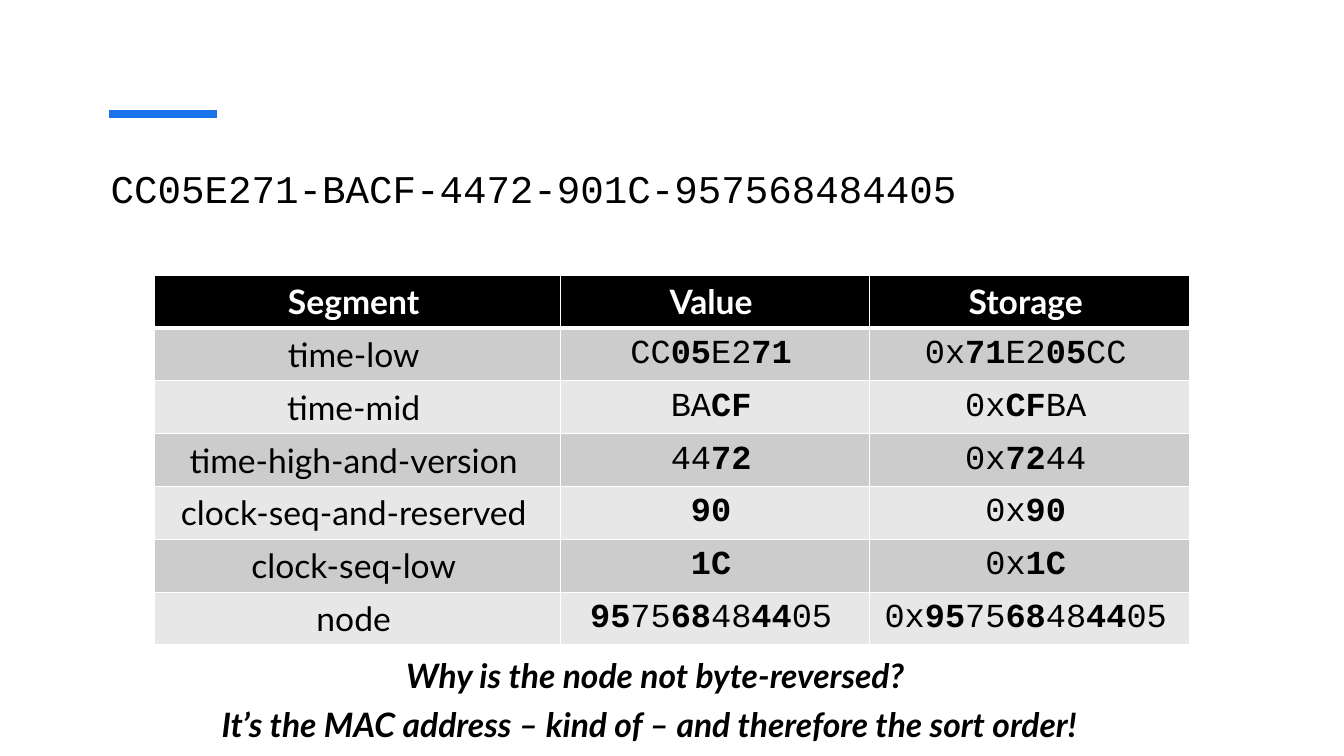
from dataclasses import dataclass

from lxml.etree import SubElement
from pptx import Presentation
from pptx.dml.color import RGBColor
from pptx.enum.shapes import MSO_CONNECTOR as Connector
from pptx.enum.text import MSO_ANCHOR as Anchor, MSO_AUTO_SIZE as AutoSize, PP_ALIGN as Align
from pptx.oxml.ns import qn
from pptx.util import Inches, Pt


@dataclass(frozen=True)
class Theme:
    accent: str = "1973EB"
    ink: str = "000000"
    paper: str = "FFFFFF"
    bands: tuple = ("CCCCCC", "E7E7E7")
    body_font: str = "Lato"
    code_font: str = "Courier New"
    title_size: int = 28
    body_size: int = 24
    accent_width: int = 6
    border_width: int = 1
    header_border_width: int = 3


THEME = Theme()
SLIDE_WIDTH = Inches(13.33)
SLIDE_HEIGHT = Inches(7.5)
COLUMN_SHARES = (30.23, 22.96, 23.86)
HEADERS = ("Segment", "Value", "Storage")
SEGMENTS = (
    ("time-low", "CC|05|E2|71", "0x|71|E2|05|CC"),
    ("time-mid", "BA|CF", "0x|CF|BA"),
    ("time-high-and-version", "44|72", "0x|72|44"),
    ("clock-seq-and-reserved", "|90", "0x|90"),
    ("clock-seq-low", "|1C", "0x|1C"),
    ("node", "|95|75|68|48|44|05", "0x|95|75|68|48|44|05"),
)


def across(share):
    return round(SLIDE_WIDTH * share / 100)


def down(share):
    return round(SLIDE_HEIGHT * share / 100)


def add_run(paragraph, text, font, size, color=THEME.ink, bold=False, italic=False):
    run = paragraph.add_run()
    run.text = text
    run.font.name = font
    run.font.size = Pt(size)
    run.font.bold = bold
    run.font.italic = italic
    run.font.color.rgb = RGBColor.from_string(color)


def add_accent(slide, left, right, top):
    line = slide.shapes.add_connector(
        Connector.STRAIGHT, across(left), down(top), across(right), down(top))
    line.line.color.rgb = RGBColor.from_string(THEME.accent)
    line.line.width = Pt(THEME.accent_width)
    SubElement(line._element.spPr, qn("a:effectLst"))


def add_text_box(slide, left, top, width, height):
    box = slide.shapes.add_textbox(across(left), down(top), across(width), down(height))
    box.text_frame.word_wrap = True
    return box.text_frame


def add_title(slide, text):
    frame = add_text_box(slide, 7.5, 20, 85, 19.2)
    frame.margin_top = Inches(0.13)
    add_run(frame.paragraphs[0], text, THEME.code_font, THEME.title_size)


def add_remark(slide, text, left, top, width):
    frame = add_text_box(slide, left, top, width, 6.67)
    frame.word_wrap = False
    frame.auto_size = AutoSize.SHAPE_TO_FIT_TEXT
    add_run(frame.paragraphs[0], text, THEME.body_font, THEME.body_size, bold=True, italic=True)


def add_border(cell, side, width):
    properties = cell._tc.get_or_add_tcPr()
    border = SubElement(properties, qn(f"a:ln{side}"), w=str(Pt(width)))
    fill = SubElement(border, qn("a:solidFill"))
    SubElement(fill, qn("a:srgbClr"), val=THEME.paper)


def style_cell(cell, fill, top_width, bottom_width):
    cell.vertical_anchor = Anchor.MIDDLE
    cell.margin_left = Inches(0.02)
    cell.margin_right = Inches(0.1)
    cell.margin_top = cell.margin_bottom = Inches(0.06)
    widths = {"L": THEME.border_width, "R": THEME.border_width, "T": top_width, "B": bottom_width}
    for side, width in widths.items():
        add_border(cell, side, width)
    cell.fill.solid()
    cell.fill.fore_color.rgb = RGBColor.from_string(fill)


def fill_cell(cell, text, font, color, header):
    paragraph = cell.text_frame.paragraphs[0]
    paragraph.alignment = Align.CENTER
    for index, part in enumerate(text.split("|")):
        if part:
            add_run(paragraph, part, font, THEME.body_size, color, header or index % 2 == 1)


def add_segment_table(slide, left, top, height):
    rows = (HEADERS, *SEGMENTS)
    table = slide.shapes.add_table(
        len(rows), len(HEADERS), across(left), down(top),
        across(sum(COLUMN_SHARES)), down(height)).table
    for column, share in zip(table.columns, COLUMN_SHARES):
        column.width = across(share)
    for row_index, texts in enumerate(rows):
        header = row_index == 0
        fill = THEME.ink if header else THEME.bands[(row_index - 1) % 2]
        color = THEME.paper if header else THEME.ink
        top_width = THEME.header_border_width if row_index == 1 else THEME.border_width
        bottom_width = THEME.header_border_width if header else THEME.border_width
        for column_index, text in enumerate(texts):
            cell = table.cell(row_index, column_index)
            font = THEME.body_font if header or column_index == 0 else THEME.code_font
            style_cell(cell, fill, top_width, bottom_width)
            fill_cell(cell, text, font, color, header)


def main():
    presentation = Presentation()
    presentation.slide_width = SLIDE_WIDTH
    presentation.slide_height = SLIDE_HEIGHT
    slide = presentation.slides.add_slide(presentation.slide_layouts[6])
    add_accent(slide, left=8.1, right=16.13, top=15.05)
    add_title(slide, "CC05E271-BACF-4472-901C-957568484405")
    add_segment_table(slide, left=11.5, top=36.4, height=48.93)
    add_remark(slide, "Why is the node not byte-reversed?", 29.48, 86, 41.03)
    add_remark(slide, "It’s the MAC address – kind of – and therefore the sort order!",
               15.75, 92.4, 68.49)
    presentation.save("out.pptx")


if __name__ == "__main__":
    main()
